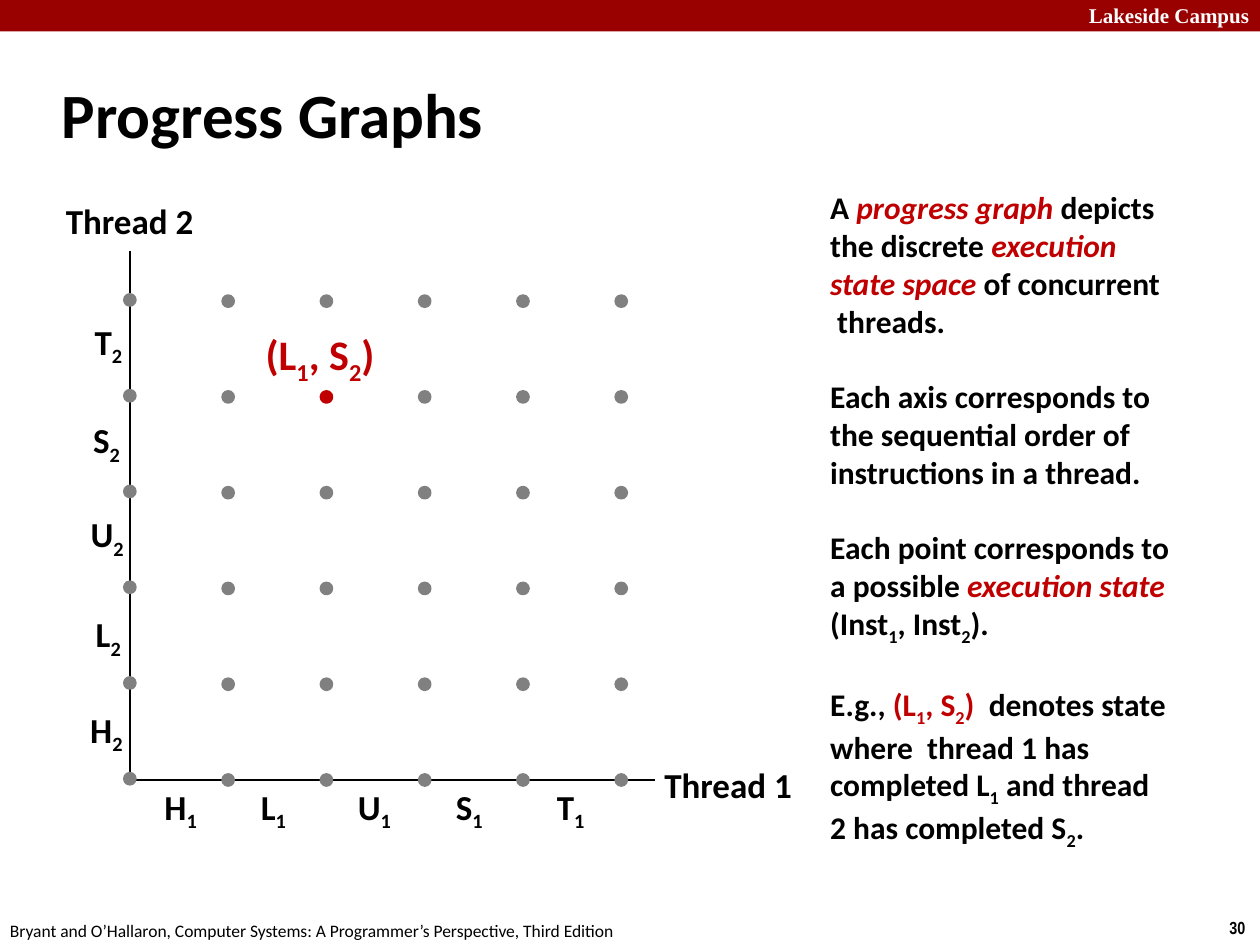
from typing import NamedTuple

from lxml.etree import SubElement
from pptx import Presentation
from pptx.dml.color import RGBColor
from pptx.enum.shapes import MSO_CONNECTOR as Connector, MSO_SHAPE as Preset
from pptx.enum.text import MSO_ANCHOR as Anchor, PP_ALIGN as Align
from pptx.oxml.ns import qn
from pptx.util import Pt

BLACK, WHITE, GREY = "000000", "FFFFFF", "808080"
BANNER_RED, ACCENT_RED = "990000", "C00000"


class Box(NamedTuple):
    left: float
    top: float
    width: float
    height: float


class Span(NamedTuple):
    """Text in which an underscore makes the next character a subscript."""
    text: str
    color: str = BLACK
    italic: bool = False


class Step(NamedTuple):
    """An instruction with the places of its labels on both axes."""
    letter: str
    width: float
    thread1_left: float
    thread2_left: float
    thread2_top: float


def rgb(value: str) -> RGBColor:
    return RGBColor.from_string(value)


def points(box: Box) -> list:
    return [Pt(length) for length in box]


def add_run(paragraph, text: str, span: Span, style: dict, subscript: bool = False) -> None:
    run = paragraph.add_run()
    run.text = text
    for key, value in {**style, "italic": span.italic}.items():
        setattr(run.font, key, value)
    run.font.color.rgb = rgb(span.color)
    if subscript:
        run._r.get_or_add_rPr().set("baseline", "-25000")


def write(paragraph, spans: list[Span], size: float, bold: bool = True,
          font: str = "Calibri") -> None:
    style = {"name": font, "size": Pt(size), "bold": bold}
    for span in spans:
        first, *others = span.text.split("_")
        add_run(paragraph, first, span, style)
        for part in others:
            add_run(paragraph, part[0], span, style, subscript=True)
            if part[1:]:
                add_run(paragraph, part[1:], span, style)


def add_text(box: Box, blocks: list[list[list[Span]]], size: float, bold: bool = True,
             font: str = "Calibri", align=Align.LEFT, anchor=Anchor.TOP,
             gap: float = 0, wrap: bool = False) -> None:
    """Write blocks of lines, with a gap above every block but the first."""
    frame = slide.shapes.add_textbox(*points(box)).text_frame
    frame.word_wrap = wrap
    frame.vertical_anchor = anchor
    paragraph = frame.paragraphs[0]
    for block_number, block in enumerate(blocks):
        for line_number, line in enumerate(block):
            if block_number or line_number:
                paragraph = frame.add_paragraph()
            paragraph.alignment = align
            if block_number and not line_number:
                paragraph.space_before = Pt(gap)
            write(paragraph, line, size, bold, font)


def add_label(box: Box, text: str) -> None:
    add_text(box, [[[Span(text)]]], 20, align=Align.CENTER, anchor=Anchor.MIDDLE)


def add_filled(preset, box: Box, color: str, line_width: float = 0) -> None:
    shape = slide.shapes.add_shape(preset, *points(box))
    shape.shadow.inherit = False
    shape.fill.solid()
    shape.fill.fore_color.rgb = rgb(color)
    if line_width:
        shape.line.color.rgb = rgb(color)
        shape.line.width = Pt(line_width)
    else:
        shape.line.fill.background()


def add_axis(end_x: float, end_y: float) -> None:
    axis = slide.shapes.add_connector(
        Connector.STRAIGHT, Pt(ORIGIN_X), Pt(ORIGIN_Y), Pt(end_x), Pt(end_y))
    axis.line.color.rgb = rgb(BLACK)
    axis.line.width = Pt(1)
    SubElement(axis._element.spPr, qn("a:effectLst"))


deck = Presentation()
deck.slide_width, deck.slide_height = Pt(720), Pt(540)
slide = deck.slides.add_slide(deck.slide_layouts[5])

# Banner and footer
add_filled(Preset.RECTANGLE, Box(0, 0, 720, 18), BANNER_RED)
add_text(Box(597, -2.2, 124, 21.6), [[[Span("Lakeside Campus", WHITE)]]], 12,
         font="Times New Roman", align=Align.RIGHT, wrap=True)
add_text(Box(695.5, 520.6, 24.5, 19.4), [[[Span("30")]]], 10, font="Arial Narrow")
add_text(Box(-1.4, 522, 365.8, 19.4), [[[Span(
    "Bryant and O’Hallaron, Computer Systems: A Programmer’s Perspective, Third Edition"
)]]], 10, bold=False)

# Title
title = slide.shapes.title
title_box = Box(28, 34.6, 597.6, 59.8)
for side, length in title_box._asdict().items():
    setattr(title, side, Pt(length))
title.text_frame.vertical_anchor = Anchor.MIDDLE
heading = title.text_frame.paragraphs[0]
heading.alignment = Align.LEFT
write(heading, [Span("Progress Graphs")], 36)

# Explanation
explanation = [
    [[Span("A "), Span("progress graph ", ACCENT_RED, True), Span("depicts")],
     [Span("the discrete "), Span("execution ", ACCENT_RED, True)],
     [Span("state space", ACCENT_RED, True), Span(" of concurrent")],
     [Span(" threads.")]],
    [[Span("Each axis corresponds to")],
     [Span("the sequential order of")],
     [Span("instructions in a thread.")]],
    [[Span("Each point corresponds to")],
     [Span("a possible "), Span("execution state", ACCENT_RED, True)],
     [Span("(Inst_1, Inst_2).")]],
    [[Span("E.g., "), Span("(L_1, S_2)  ", ACCENT_RED), Span("denotes state")],
     [Span("where  thread 1 has")],
     [Span("completed L_1 and thread")],
     [Span("2 has completed S_2.")]],
]
add_text(Box(467.3, 108, 209.5, 378), explanation, 18, anchor=Anchor.MIDDLE, gap=21.6)

# Axes
ORIGIN_X, ORIGIN_Y = 74.2, 445.7
add_axis(374.4, ORIGIN_Y)
add_axis(ORIGIN_X, 143.3)
add_label(Box(372.2, 432.7, 87.8, 31.7), "Thread 1")
add_label(Box(30.2, 110.2, 87.8, 31.7), "Thread 2")

# Instruction labels along both axes
steps = [
    Step("H", 33.8, 86.4, 43.9, 402.5),
    Step("L", 30.2, 141.1, 46.8, 347.8),
    Step("U", 34.6, 196.6, 43.9, 290.9),
    Step("S", 31, 252.7, 45.4, 236.9),
    Step("T", 31.7, 310.3, 46.1, 180.7),
]
for step in steps:
    add_label(Box(step.thread1_left, 446.4, step.width, 31.7), f"{step.letter}_1")
    add_label(Box(step.thread2_left, step.thread2_top, step.width, 31.7), f"{step.letter}_2")

# Execution states
DOT, COLUMN_STEP, ROW_STEP = 5.8, 56.16, 54.72
MARKED_STATE = (2, 4)
for column in range(len(steps) + 1):
    bottom = 442.8 if column else 442.1
    for row in range(len(steps) + 1):
        color = ACCENT_RED if (column, row) == MARKED_STATE else GREY
        dot_box = Box(71.3 + column * COLUMN_STEP, bottom - row * ROW_STEP, DOT, DOT)
        add_filled(Preset.OVAL, dot_box, color, 2)
add_text(Box(144.7, 184.3, 85, 36), [[[Span("(L_1, S_2) ", ACCENT_RED)]]], 24)

deck.save("out.pptx")
